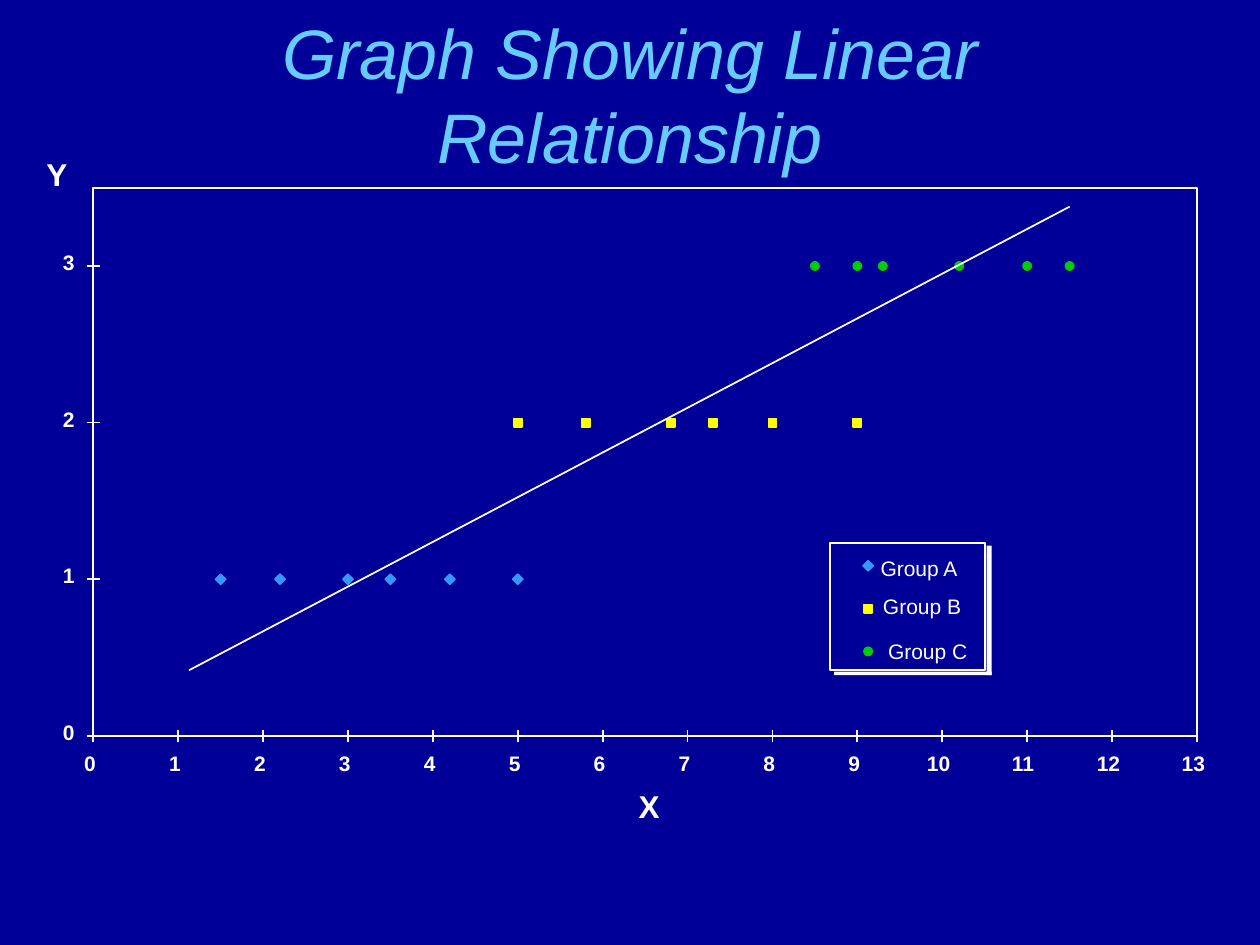
import pptx
import pptx.dml.color
import pptx.enum.shapes
import pptx.enum.text
import pptx.oxml
import pptx.util
from pptx.util import Inches

COLORS = {
    "background": "000099",
    "title": "66CCFF",
    "white": "FFFFFF",
    "A": "3399FF",
    "B": "FFFF00",
    "C": "00CC00",
}
SHAPES = pptx.enum.shapes.MSO_SHAPE
AUTO_SIZE = pptx.enum.text.MSO_AUTO_SIZE
MARKERS = {
    "A": (SHAPES.DIAMOND, 0.08),
    "B": (SHAPES.RECTANGLE, 0.065),
    "C": (SHAPES.OVAL, 0.065),
}
# Group: (y value, x values)
GROUPS = {
    "A": (1, [1.5, 2.2, 3, 3.5, 4.2, 5]),
    "B": (2, [5, 5.8, 6.8, 7.3, 8, 9]),
    "C": (3, [8.5, 9, 9.3, 10.2, 11, 11.5]),
}
# Group: (marker centre y, label left, label top)
LEGEND = {
    "A": (4.49, 6.89, 4.36),
    "B": (4.83, 6.91, 4.66),
    "C": (5.17, 6.95, 5.02),
}
LEFT, TOP, RIGHT, BOTTOM = 0.74, 1.49, 9.5, 5.84
X_MAX, Y_MAX = 13, 3.5
TICK = 0.05


def x_at(value):
    return LEFT + value * (RIGHT - LEFT) / X_MAX


def y_at(value):
    return BOTTOM - value * (BOTTOM - TOP) / Y_MAX


def rgb(name):
    return pptx.dml.color.RGBColor.from_string(COLORS[name])


class Canvas:
    """Holds the text and line style and the slide being drawn."""

    font = "Arial"
    line_width = pptx.util.Pt(1)

    def __init__(self, slide):
        self.slide = slide
        slide.background.fill.solid()
        slide.background.fill.fore_color.rgb = rgb("background")

    def text(self, text, x, y, w, h, size=12, color="white", bold=False):
        sp = self.slide.shapes.add_textbox(Inches(x), Inches(y), Inches(w), Inches(h))
        tf = sp.text_frame
        tf.word_wrap = False
        tf.auto_size = AUTO_SIZE.SHAPE_TO_FIT_TEXT
        p = tf.paragraphs[0]
        p.text = text
        p.font.name = self.font
        p.font.size = pptx.util.Pt(size)
        p.font.bold = bold
        p.font.color.rgb = rgb(color)
        return tf

    def title(self, text):
        tf = self.text(text, 0.75, 0.41, 8.5, 0.67, 40, "title")
        tf.word_wrap = True
        tf.auto_size = AUTO_SIZE.NONE
        tf.vertical_anchor = pptx.enum.text.MSO_ANCHOR.MIDDLE
        p = tf.paragraphs[0]
        p.alignment = pptx.enum.text.PP_ALIGN.CENTER
        p.font.italic = True

    def shape(self, kind, x, y, w, h, fill=None, line=None):
        sp = self.slide.shapes.add_shape(kind, Inches(x), Inches(y), Inches(w), Inches(h))
        sp.shadow.inherit = False
        if fill:
            sp.fill.solid()
            sp.fill.fore_color.rgb = rgb(fill)
        else:
            sp.fill.background()
        if line:
            sp.line.color.rgb = rgb(line)
            sp.line.width = self.line_width
        else:
            sp.line.fill.background()

    def marker(self, group, x, y):
        """Draw a group's marker centred on x, y."""
        kind, size = MARKERS[group]
        self.shape(kind, x - size / 2, y - size / 2, size, size, group, group)

    def line(self, x1, y1, x2, y2):
        cxn = self.slide.shapes.add_connector(
            pptx.enum.shapes.MSO_CONNECTOR.STRAIGHT,
            Inches(x1), Inches(y1), Inches(x2), Inches(y2))
        cxn.line.color.rgb = rgb("white")
        cxn.line.width = self.line_width
        sp_pr = cxn._element.spPr
        sp_pr.append(pptx.oxml.parse_xml(
            '<a:effectLst xmlns:a="http://schemas.openxmlformats.org/drawingml/2006/main"/>'))


def draw_axes(canvas):
    canvas.shape(SHAPES.RECTANGLE, LEFT, TOP, RIGHT - LEFT, BOTTOM - TOP, line="white")
    canvas.line(LEFT, TOP, LEFT, BOTTOM)
    canvas.line(LEFT, BOTTOM, RIGHT, BOTTOM)
    for value in range(4):
        y = y_at(value)
        canvas.line(LEFT - TICK, y, LEFT + TICK, y)
        canvas.text(str(value), 0.4, y - 0.18, 0.29, 0.3, bold=True)
    for value in range(X_MAX + 1):
        x = x_at(value)
        width = 0.29 if value < 10 else 0.39
        canvas.line(x, BOTTOM + TICK, x, BOTTOM - TICK)
        canvas.text(str(value), x - 0.025 - width / 2, 5.91, width, 0.3, bold=True)
    canvas.text("X", 4.97, 6.2, 0.37, 0.4, 18, bold=True)
    canvas.text("Y", 0.27, 1.18, 0.37, 0.4, 18, bold=True)


def draw_legend(canvas):
    canvas.shape(SHAPES.RECTANGLE, 7.83, 4.33, 0.04, 1.03, "white")
    canvas.shape(SHAPES.RECTANGLE, 6.62, 5.33, 1.25, 0.03, "white")
    canvas.shape(SHAPES.RECTANGLE, 6.59, 4.31, 1.23, 1.01, line="white")
    for group, (marker_y, label_x, label_y) in LEGEND.items():
        canvas.marker(group, 6.89, marker_y)
        canvas.text(f"Group {group}", label_x, label_y, 0.84, 0.3)


def main():
    prs = pptx.Presentation()
    prs.slide_width, prs.slide_height = Inches(10), Inches(7.5)
    canvas = Canvas(prs.slides.add_slide(prs.slide_layouts[6]))
    canvas.title("Graph Showing Linear Relationship")
    draw_axes(canvas)
    for group, (y, xs) in GROUPS.items():
        for x in xs:
            canvas.marker(group, x_at(x), y_at(y))
    draw_legend(canvas)
    canvas.line(1.5, 5.32, 8.49, 1.64)
    prs.save("out.pptx")


if __name__ == "__main__":
    main()
